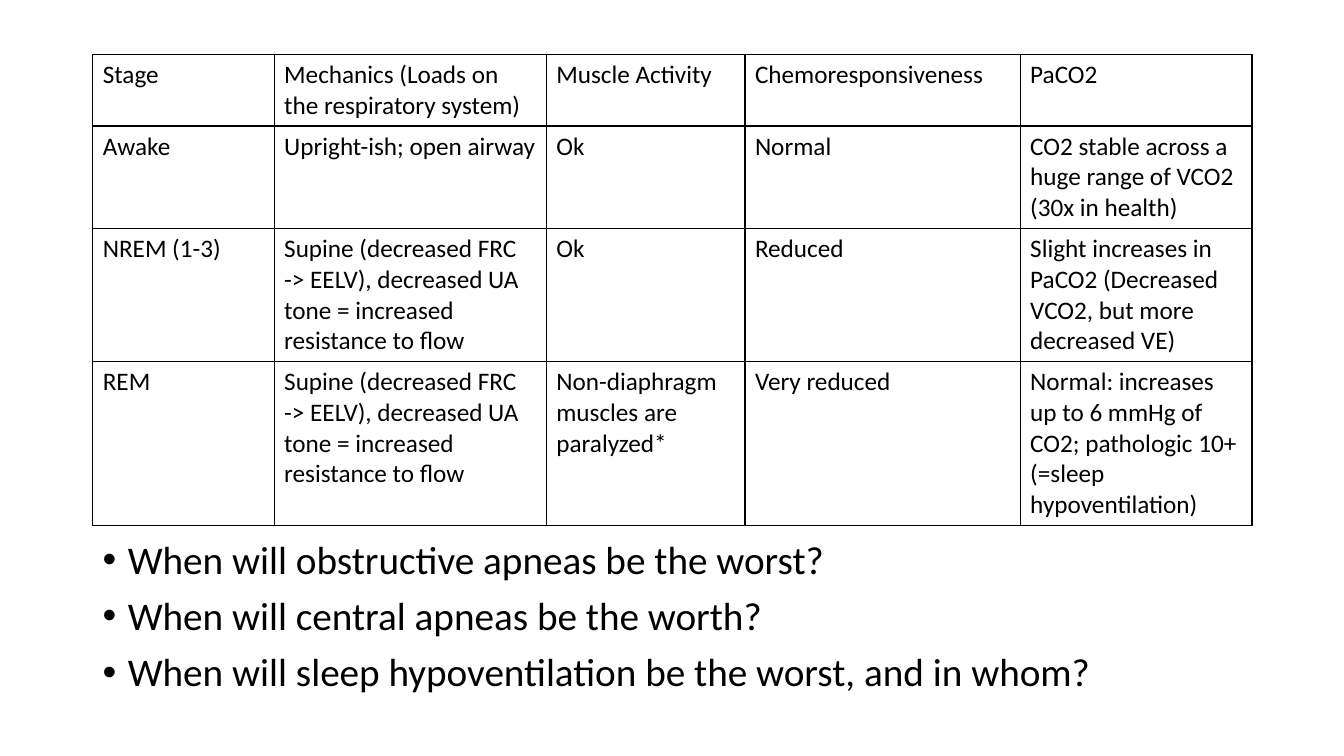
from lxml.etree import SubElement
from pptx import Presentation
from pptx.dml.color import RGBColor
from pptx.oxml.ns import qn
from pptx.util import Inches, Pt

COLORS = {"ink": "000000", "paper": "FFFFFF"}

# Lengths are percentages of the slide's width or height
LEFT, WIDTH = 6.9, 86.25
TABLE_TOP, QUESTIONS_TOP = 7.2, 70.8
LINE_HEIGHT, CELL_PADDING = 4.07, 1.33
COLUMN_WIDTHS = [13.5, 20.25, 14.78, 20.48, 17.25]
ROW_LINES = [2, 3, 4, 5]

SUPINE = ("Supine (decreased FRC -> EELV), decreased UA tone = "
          "increased resistance to flow")
STAGES = [
    ["Stage", "Mechanics (Loads on the respiratory system)",
     "Muscle Activity", "Chemoresponsiveness", "PaCO2"],
    ["Awake", "Upright-ish; open airway", "Ok", "Normal",
     "CO2 stable across a huge range of VCO2 (30x in health)"],
    ["NREM (1-3)", SUPINE, "Ok", "Reduced",
     "Slight increases in PaCO2 (Decreased VCO2, but more decreased VE)"],
    ["REM", SUPINE, "Non-diaphragm muscles are paralyzed*", "Very reduced",
     "Normal: increases up to 6 mmHg of CO2; pathologic 10+ "
     "(=sleep hypoventilation)"],
]
QUESTIONS = [
    "When will obstructive apneas be the worst?",
    "When will central apneas be the worth?",
    "When will sleep hypoventilation be the worst, and in whom?",
]


class SlideBuilder:
    font = "Calibri"
    cell_size, bullet_size = Pt(18), Pt(28)
    border = Pt(1)
    indent = Inches(0.25)

    def __init__(self, prs):
        self.prs = prs
        self.s = prs.slides.add_slide(prs.slide_layouts[6])
        fill = self.s.background.fill
        fill.solid()
        fill.fore_color.rgb = RGBColor.from_string(COLORS["paper"])

    def x(self, share):
        return round(self.prs.slide_width * share / 100)

    def y(self, share):
        return round(self.prs.slide_height * share / 100)

    def run(self, p, text, size):
        r = p.add_run()
        r.text = text
        r.font.name = self.font
        r.font.size = size
        r.font.color.rgb = RGBColor.from_string(COLORS["ink"])

    def outline(self, cell):
        tc_pr = cell._tc.get_or_add_tcPr()
        for side in "LRTB":
            ln = SubElement(tc_pr, qn(f"a:ln{side}"), w=str(self.border))
            fill = SubElement(ln, qn("a:solidFill"))
            SubElement(fill, qn("a:srgbClr"), val=COLORS["ink"])

    def table(self, top, rows, widths, line_counts):
        heights = [n * LINE_HEIGHT + CELL_PADDING for n in line_counts]
        table = self.s.shapes.add_table(
            len(rows), len(widths), self.x(LEFT), self.y(top),
            self.x(sum(widths)), self.y(sum(heights))).table
        table.first_row = table.horz_banding = False
        for column, width in zip(table.columns, widths):
            column.width = self.x(width)
        for row, height, texts in zip(table.rows, heights, rows):
            row.height = self.y(height)
            for cell, text in zip(row.cells, texts):
                self.outline(cell)
                cell.fill.background()
                self.run(cell.text_frame.paragraphs[0], text, self.cell_size)

    def bullets(self, top, texts):
        sp = self.s.shapes.add_textbox(
            self.x(LEFT), self.y(top), self.x(WIDTH), self.y(100 - top))
        tf = sp.text_frame
        tf.word_wrap = True
        for i, text in enumerate(texts):
            p = tf.add_paragraph() if i else tf.paragraphs[0]
            p_pr = p._p.get_or_add_pPr()
            p_pr.set("marL", str(self.indent))
            p_pr.set("indent", str(-self.indent))
            SubElement(p_pr, qn("a:buFont"), typeface="Arial")
            SubElement(p_pr, qn("a:buChar"), char="•")
            p.line_spacing = 0.9
            p.space_before = Pt(10 if i else 0)
            self.run(p, text, self.bullet_size)


def main():
    prs = Presentation()
    prs.slide_width, prs.slide_height = Inches(13.33), Inches(7.5)
    slide = SlideBuilder(prs)

    # Sleep stages and their effect on breathing
    slide.table(TABLE_TOP, STAGES, COLUMN_WIDTHS, ROW_LINES)

    # Questions for discussion
    slide.bullets(QUESTIONS_TOP, QUESTIONS)

    prs.save("out.pptx")


if __name__ == "__main__":
    main()
